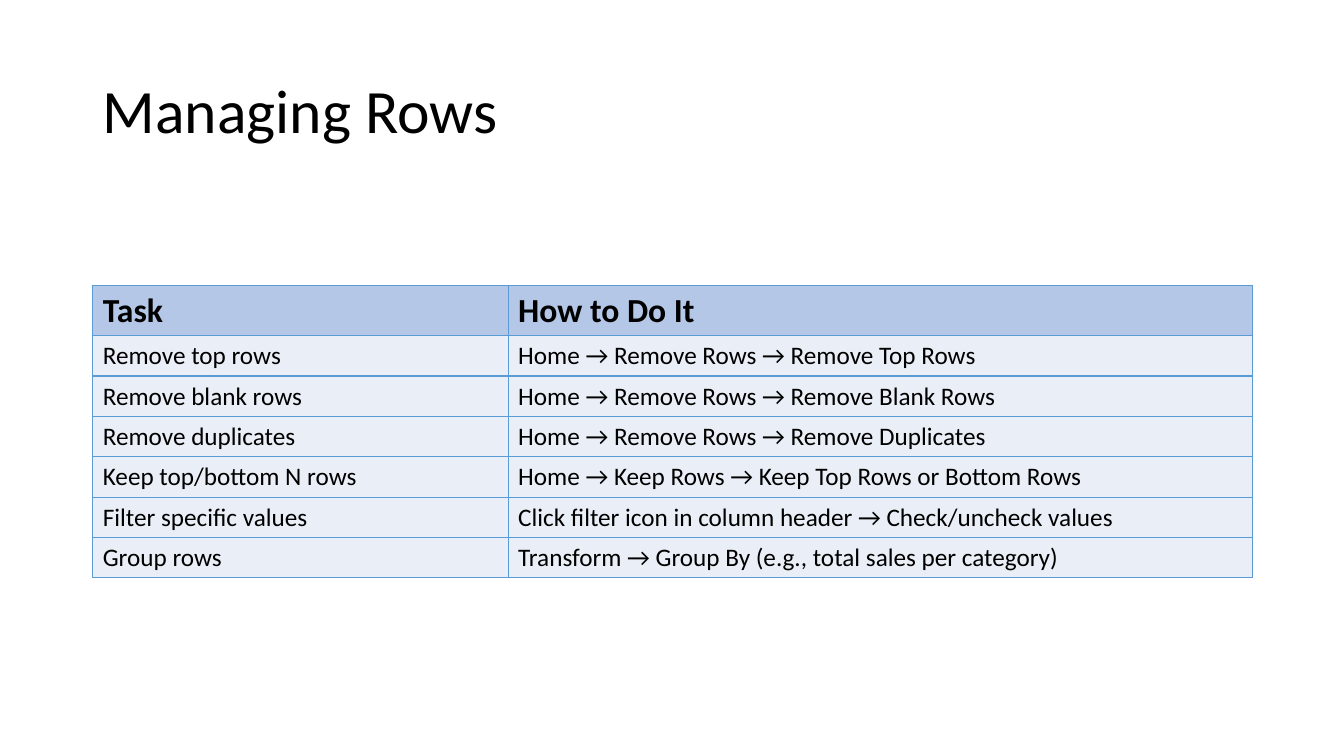
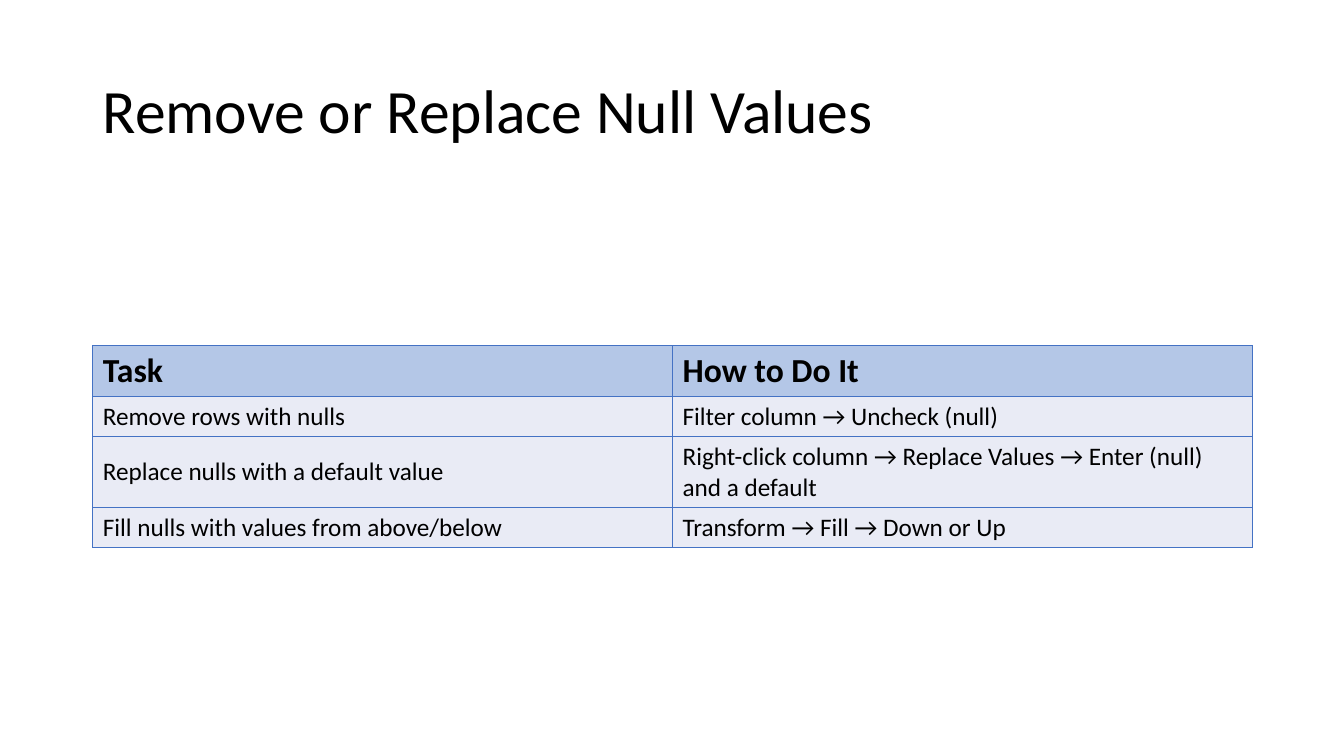
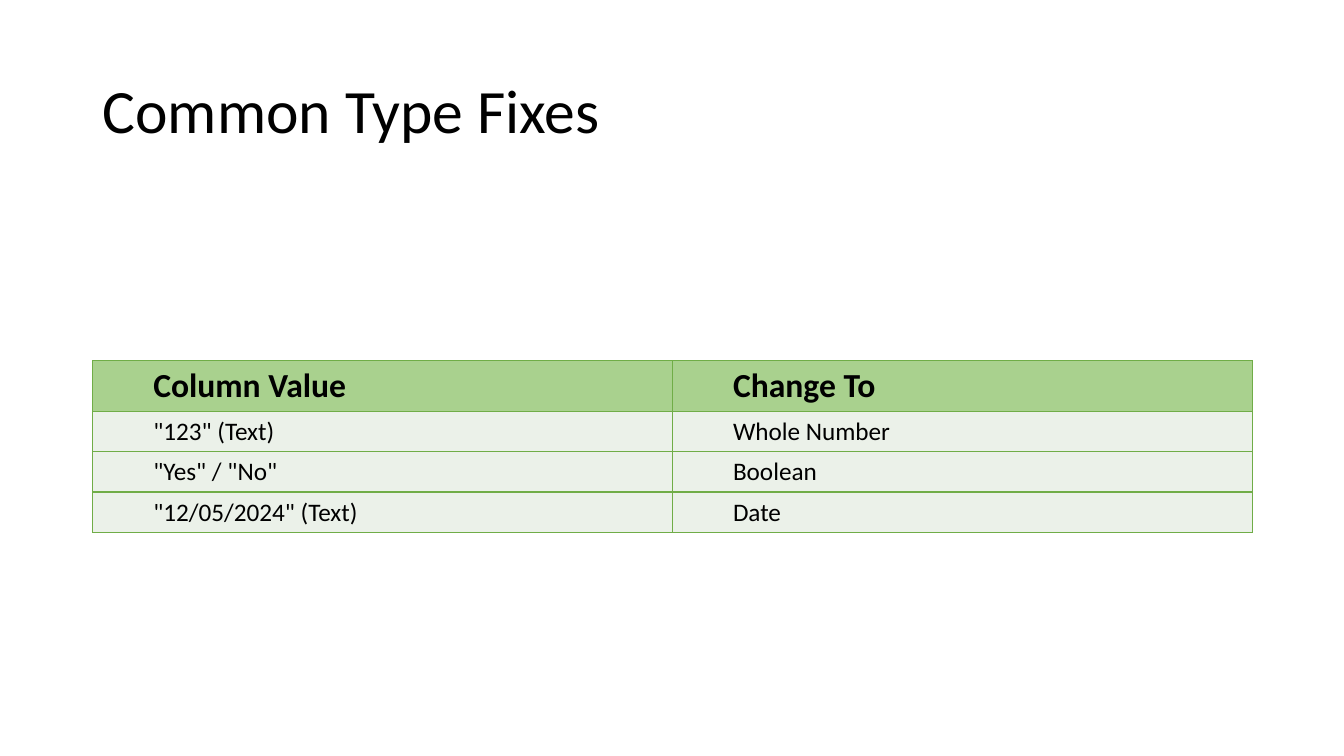
import pptx
import pptx.dml.color
import pptx.enum.text
import pptx.oxml.ns
import pptx.util
from lxml import etree

PX = 9144  # EMU per px, 100 px to the inch
FONT = "Calibri"
COLORS = {
    "text": "000000",
    "blue_header": "B4C7E7",
    "sky_line": "5B9BD5",
    "sky_body": "EAEFF7",
    "blue_line": "4472C4",
    "blue_body": "E9EBF5",
    "green_header": "A9D18E",
    "green_line": "70AD47",
    "green_body": "EBF1E9",
}
TITLE_BOX = (92, 40, 1150, 145)
TABLE_LEFT = 92
HEADER_HEIGHT, LINE_HEIGHT, EXTRA_LINE = 50, 40, 30

SLIDES = [
    {
        "title": "Managing Rows",
        "top": 283,
        "columns": (412, 738),
        "colors": ("blue_header", "sky_body", "sky_line"),
        "rows": [
            ("Task", "How to Do It"),
            ("Remove top rows", "Home → Remove Rows → Remove Top Rows"),
            ("Remove blank rows", "Home → Remove Rows → Remove Blank Rows"),
            ("Remove duplicates", "Home → Remove Rows → Remove Duplicates"),
            ("Keep top/bottom N rows", "Home → Keep Rows → Keep Top Rows or Bottom Rows"),
            ("Filter specific values", "Click filter icon in column header → Check/uncheck values"),
            ("Group rows", "Transform → Group By (e.g., total sales per category)"),
        ],
    },
    {
        "title": "Remove or Replace Null Values",
        "top": 343,
        "columns": (575, 575),
        "colors": ("blue_header", "blue_body", "blue_line"),
        "two_line_rows": (2,),
        "rows": [
            ("Task", "How to Do It"),
            ("Remove rows with nulls", "Filter column → Uncheck (null)"),
            ("Replace nulls with a default value",
             "Right-click column → Replace Values → Enter (null) and a default"),
            ("Fill nulls with values from above/below", "Transform → Fill → Down or Up"),
        ],
    },
    {
        "title": "Common Type Fixes",
        "top": 358,
        "columns": (575, 575),
        "colors": ("green_header", "green_body", "green_line"),
        "indent": 50,
        "rows": [
            ("Column Value", "Change To"),
            ('"123" (Text)', "Whole Number"),
            ('"Yes" / "No"', "Boolean"),
            ('"12/05/2024" (Text)', "Date"),
        ],
    },
]


def rgb(name):
    return pptx.dml.color.RGBColor.from_string(COLORS[name])


def set_font(para, size, bold=False):
    para.font.name = FONT
    para.font.size = pptx.util.Pt(size)
    para.font.bold = bold
    para.font.color.rgb = rgb("text")


def add_title(page, text, box):
    frame = page.shapes.add_textbox(*(value * PX for value in box)).text_frame
    frame.word_wrap = True
    frame.vertical_anchor = pptx.enum.text.MSO_ANCHOR.MIDDLE
    para = frame.paragraphs[0]
    para.text = text
    para.line_spacing = 0.9
    set_font(para, 44)


def set_borders(cell, color):
    """Draw a 1 pt line on all four sides; call before the cell is filled."""
    qn = pptx.oxml.ns.qn
    properties = cell._tc.get_or_add_tcPr()
    for side in ("a:lnL", "a:lnR", "a:lnT", "a:lnB"):
        line = etree.SubElement(properties, qn(side), w=str(pptx.util.Pt(1)))
        fill = etree.SubElement(line, qn("a:solidFill"))
        etree.SubElement(fill, qn("a:srgbClr"), val=COLORS[color])


def style_cell(cell, text, fill, line, is_header, indent):
    set_borders(cell, line)
    cell.fill.solid()
    cell.fill.fore_color.rgb = rgb(fill)
    cell.vertical_anchor = pptx.enum.text.MSO_ANCHOR.MIDDLE
    para = cell.text_frame.paragraphs[0]
    para.text = text
    set_font(para, 24 if is_header else 18, bold=is_header)
    if indent:
        para._p.get_or_add_pPr().set("marL", str(indent * PX))


def add_task_table(page, left, top, columns, rows, colors, two_line_rows=(), indent=0):
    heights = [HEADER_HEIGHT] + [
        LINE_HEIGHT + EXTRA_LINE * (index in two_line_rows) for index in range(1, len(rows))
    ]
    table = page.shapes.add_table(
        len(rows), len(columns), left * PX, top * PX, sum(columns) * PX, sum(heights) * PX
    ).table
    table.horz_banding = False
    for column, width in zip(table.columns, columns):
        column.width = width * PX
    header_fill, body_fill, line = colors
    for row_index, texts in enumerate(rows):
        table.rows[row_index].height = heights[row_index] * PX
        is_header = row_index == 0
        fill = header_fill if is_header else body_fill
        for column_index, text in enumerate(texts):
            style_cell(table.cell(row_index, column_index), text, fill, line, is_header, indent)


def main():
    deck = pptx.Presentation()
    deck.slide_width = pptx.util.Inches(13.33)
    deck.slide_height = pptx.util.Inches(7.5)
    for content in SLIDES:
        page = deck.slides.add_slide(deck.slide_layouts[6])
        table_content = {key: value for key, value in content.items() if key != "title"}
        add_title(page, content["title"], TITLE_BOX)
        add_task_table(page, TABLE_LEFT, **table_content)
    deck.save("out.pptx")


if __name__ == "__main__":
    main()
